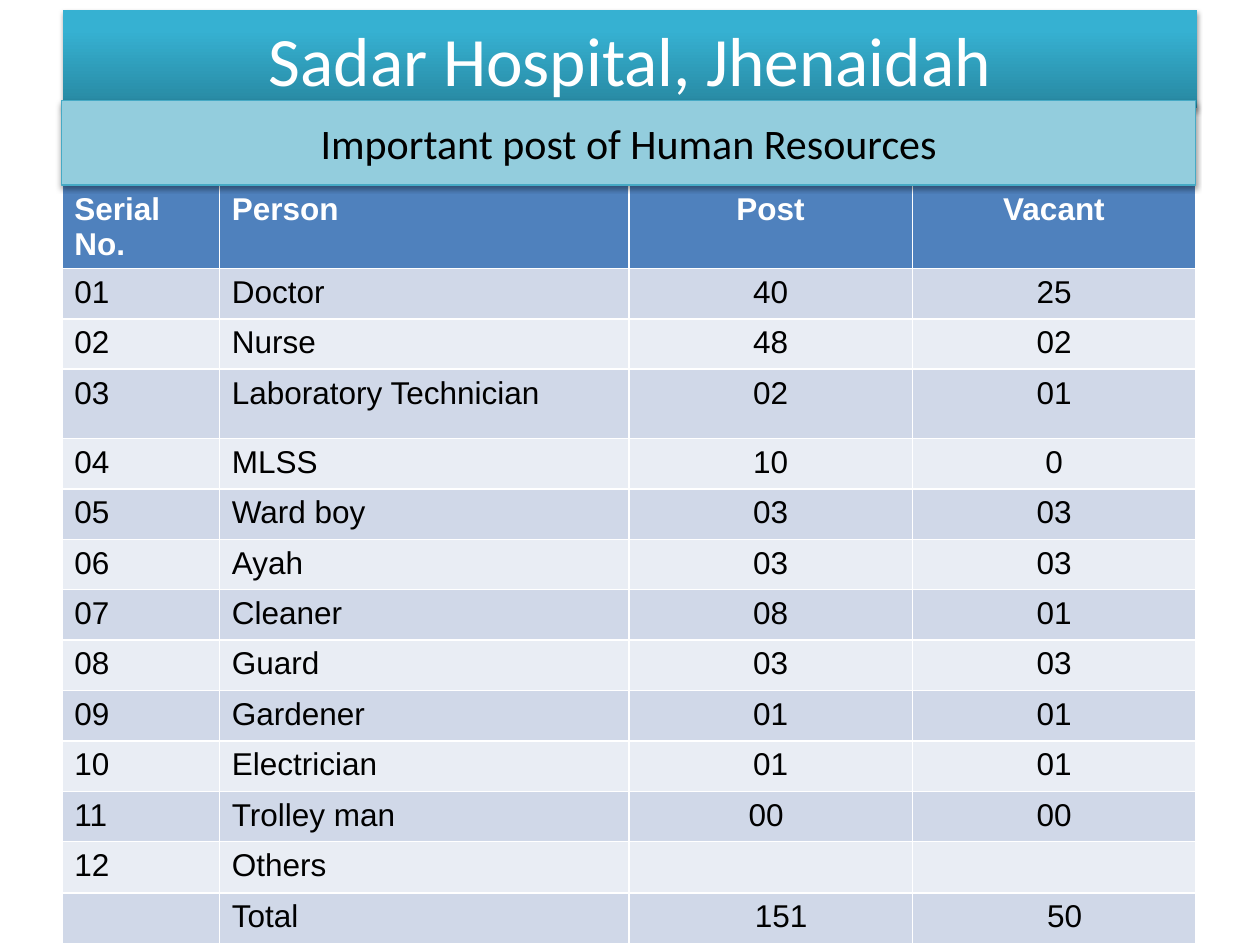
from lxml import etree
from pptx import Presentation
from pptx.dml.color import RGBColor
from pptx.enum.shapes import MSO_SHAPE as Shape
from pptx.enum.text import MSO_ANCHOR as Anchor, MSO_AUTO_SIZE as AutoSize, PP_ALIGN as Align
from pptx.oxml.ns import qn
from pptx.util import Inches, Pt

COLORS = {
    "white": "FFFFFF", "black": "000000", "header": "4F81BD",
    "band_dark": "D0D8E8", "band_light": "E9EDF4",
    "title_top": "36B1D2", "title_bottom": "2787A0",
    "subtitle": "93CDDD", "subtitle_line": "46AAC5",
}

HEADINGS = ("Serial No.", "Person", "Post", "Vacant")
STAFF = [
    ("01", "Doctor", "40", "25"),
    ("02", "Nurse", "48", "02"),
    ("03", "Laboratory Technician", "02", "01"),
    ("04", "MLSS", "10", "0"),
    ("05", "Ward boy", "03", "03"),
    ("06", "Ayah", "03", "03"),
    ("07", "Cleaner", "08", "01"),
    ("08", "Guard", "03", "03"),
    ("09", "Gardener", "01", "01"),
    ("10", "Electrician", "01", "01"),
    ("11", "Trolley man", "00 ", "00"),
    ("12", "Others", "", ""),
]
TOTAL = ("", "Total", "151", "50")
TOTAL_INDENTS = {2: 1.0, 3: 1.07}
COLUMN_WIDTHS = (1.25, 3.25, 2.25, 2.25)
ROW_HEIGHT, TALL_ROW_HEIGHT = 0.4, 0.55
TALL_ROWS = (0, 3)


def color(name):
    return RGBColor.from_string(COLORS[name])


def write(paragraph, text, size, font_name, color_name, align, bold=False):
    paragraph.alignment = align
    run = paragraph.add_run()
    run.text = text
    run.font.size = Pt(size)
    run.font.name = font_name
    run.font.bold = bold
    run.font.color.rgb = color(color_name)


def add_shadow(shape):
    """Soft shadow straight below the shape."""
    properties = shape._element.spPr
    for old in properties.findall(qn("a:effectLst")):
        properties.remove(old)
    effects = etree.SubElement(properties, qn("a:effectLst"))
    shadow = etree.SubElement(effects, qn("a:outerShdw"), blurRad=str(Pt(3.1)),
                              dist=str(Pt(1.6)), dir="5400000", rotWithShape="0")
    shade = etree.SubElement(shadow, qn("a:srgbClr"), val=COLORS["black"])
    etree.SubElement(shade, qn("a:alpha"), val="38000")


def place_title(slide, left, top, width, height):
    title = slide.shapes.title
    title.left, title.top = Inches(left), Inches(top)
    title.width, title.height = Inches(width), Inches(height)
    title.fill.gradient()
    title.fill.gradient_angle = 90
    bottom_stop, top_stop = title.fill.gradient_stops
    bottom_stop.color.rgb = color("title_bottom")
    top_stop.color.rgb = color("title_top")
    top_stop.position = 0.8
    add_shadow(title)
    frame = title.text_frame
    frame.auto_size = AutoSize.NONE
    frame.vertical_anchor = Anchor.MIDDLE
    write(frame.paragraphs[0], "Sadar Hospital, Jhenaidah", 39.6, "Calibri",
          "white", Align.CENTER)


def add_staff_table(slide, left, top):
    rows = [HEADINGS, *STAFF, TOTAL]
    heights = [TALL_ROW_HEIGHT if index in TALL_ROWS else ROW_HEIGHT
               for index in range(len(rows))]
    table = slide.shapes.add_table(
        len(rows), len(HEADINGS), Inches(left), Inches(top),
        Inches(sum(COLUMN_WIDTHS)), Inches(sum(heights))).table
    for column, width in zip(table.columns, COLUMN_WIDTHS):
        column.width = Inches(width)

    for row_index, values in enumerate(rows):
        table.rows[row_index].height = Inches(heights[row_index])
        is_header, is_total = row_index == 0, values is TOTAL
        band = "band_dark" if row_index % 2 else "band_light"
        for column_index, value in enumerate(values):
            cell = table.cell(row_index, column_index)
            cell.fill.solid()
            cell.fill.fore_color.rgb = color("header" if is_header else band)
            if is_total and column_index in TOTAL_INDENTS:
                cell.margin_left = Inches(TOTAL_INDENTS[column_index])
            if value:
                centred = column_index >= 2 and not is_total
                write(cell.text_frame.paragraphs[0], value, 18, "Arial",
                      "white" if is_header else "black",
                      Align.CENTER if centred else Align.LEFT, is_header)


def add_subtitle(slide, left, top, width, height):
    banner = slide.shapes.add_shape(Shape.RECTANGLE, Inches(left), Inches(top),
                                    Inches(width), Inches(height))
    banner.fill.solid()
    banner.fill.fore_color.rgb = color("subtitle")
    banner.line.color.rgb = color("subtitle_line")
    banner.line.width = Pt(0.75)
    add_shadow(banner)
    frame = banner.text_frame
    frame.word_wrap = True
    frame.vertical_anchor = Anchor.MIDDLE
    write(frame.paragraphs[0], "Important post of Human Resources", 24, "Calibri",
          "black", Align.CENTER)


def main():
    presentation = Presentation()
    presentation.slide_width, presentation.slide_height = Inches(10), Inches(7.5)
    slide = presentation.slides.add_slide(presentation.slide_layouts[5])
    # Title banner, staff table, then the subtitle banner on top
    place_title(slide, 0.5, 0.08, 9, 0.78)
    add_staff_table(slide, 0.49, 1.47)
    add_subtitle(slide, 0.49, 0.8, 9, 0.67)
    presentation.save("out.pptx")


if __name__ == "__main__":
    main()
